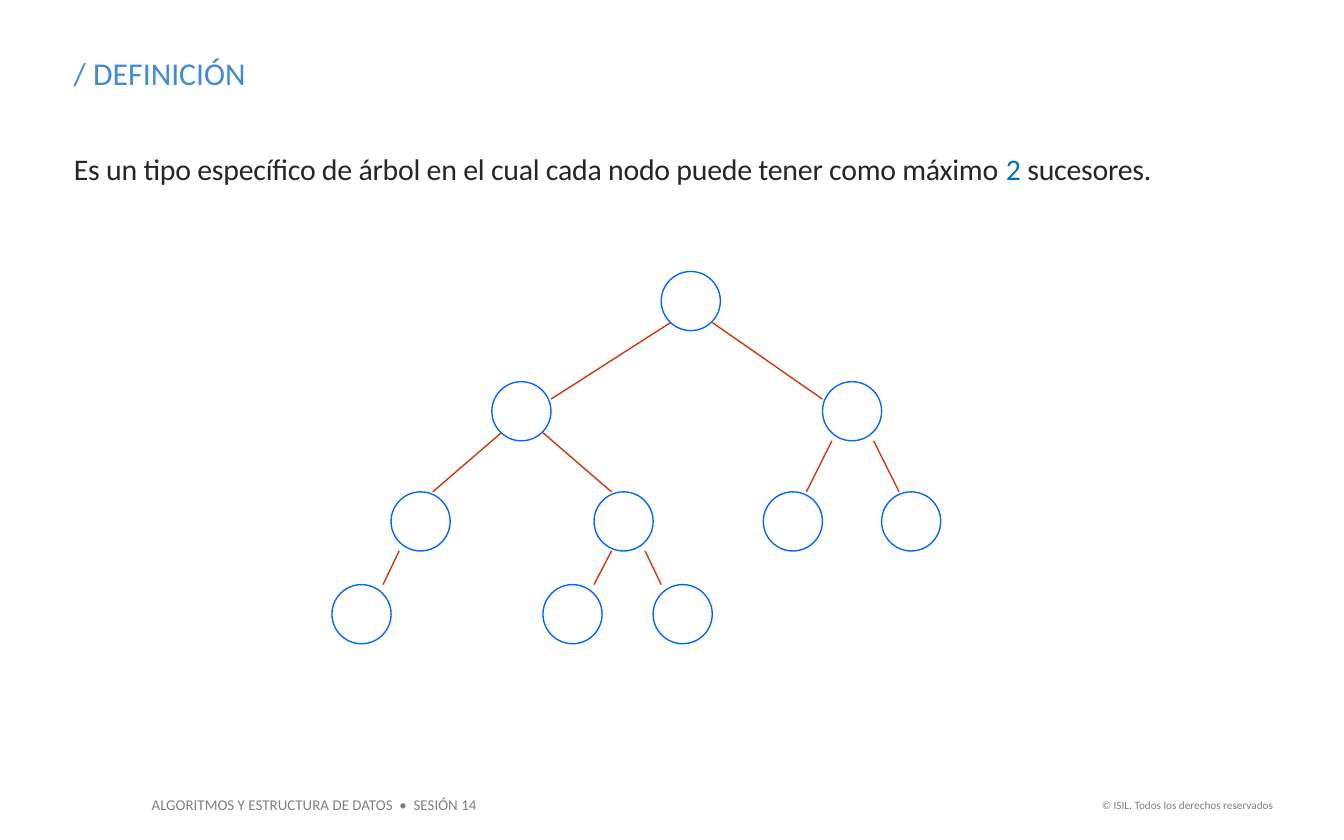
"""Build a slide that defines the binary tree and draws one."""
import pptx
import pptx.dml.color
import pptx.enum.shapes
import pptx.enum.text
import pptx.oxml.ns
import pptx.util
from lxml import etree

Inches = pptx.util.Inches
Pt = pptx.util.Pt
Align = pptx.enum.text.PP_ALIGN

NODE_SIZE = 0.44
LEVELS = {
    2.02: [4.92],
    2.84: [3.66, 6.12],
    3.66: [2.91, 4.42, 5.68, 6.56],
    4.35: [2.47, 4.04, 4.86],
}
BRANCHES = [
    (4.99, 2.4, 4.1, 2.97), (5.3, 2.4, 6.12, 2.97),
    (3.73, 3.22, 3.22, 3.66), (4.04, 3.22, 4.55, 3.66),
    (6.19, 3.28, 6, 3.66), (6.5, 3.28, 6.69, 3.66),
    (2.97, 4.1, 2.85, 4.35),
    (4.55, 4.1, 4.42, 4.35), (4.8, 4.1, 4.92, 4.35),
]


def rgb(hex_code):
    return pptx.dml.color.RGBColor.from_string(hex_code)


class TreeSlide:
    font_name = "Calibri"
    node_color = "0066FF"
    branch_color = "D13409"
    line_width = Pt(0.75)

    def __init__(self, slide):
        self.slide = slide

    def text(self, box, runs, size, align=Align.LEFT, wrap=True,
             inset=(0.1, 0.05), line_spacing=None, tracking=None):
        frame = self.slide.shapes.add_textbox(*map(Inches, box)).text_frame
        frame.word_wrap = wrap
        frame.margin_left = frame.margin_right = Inches(inset[0])
        frame.margin_top = frame.margin_bottom = Inches(inset[1])
        paragraph = frame.paragraphs[0]
        paragraph.alignment = align
        paragraph.line_spacing = line_spacing
        paragraph.font.name = self.font_name
        paragraph.font.size = Pt(size)
        if len(runs) == 1:
            paragraph.font.color.rgb = rgb(runs[0][1])
        for words, color in runs:
            run = paragraph.add_run()
            run.text = words
            if len(runs) > 1:
                run.font.color.rgb = rgb(color)
            if tracking is not None:
                run.font._element.set("spc", str(round(tracking * 100)))

    def node(self, left, top):
        circle = self.slide.shapes.add_shape(
            pptx.enum.shapes.MSO_SHAPE.FLOWCHART_CONNECTOR,
            Inches(left), Inches(top), Inches(NODE_SIZE), Inches(NODE_SIZE))
        circle.shadow.inherit = False
        circle.fill.background()
        circle.line.color.rgb = rgb(self.node_color)
        circle.line.width = self.line_width

    def branch(self, *ends):
        line = self.slide.shapes.add_connector(
            pptx.enum.shapes.MSO_CONNECTOR.STRAIGHT, *map(Inches, ends))
        line.line.color.rgb = rgb(self.branch_color)
        line.line.width = self.line_width
        etree.SubElement(line._element.spPr, pptx.oxml.ns.qn("a:effectLst"))


def main():
    deck = pptx.Presentation()
    deck.slide_width, deck.slide_height = Inches(10), Inches(6.25)
    tree = TreeSlide(deck.slides.add_slide(deck.slide_layouts[6]))

    tree.text((1.03, 5.87, 2.67, 0.24),
              [("ALGORITMOS Y ESTRUCTURA DE DATOS  •  SESIÓN 14", "808080")],
              8, wrap=False)
    tree.text((8.07, 5.89, 1.5, 0.2),
              [("© ISIL. Todos los derechos reservados", "808080")],
              6, align=Align.RIGHT, wrap=False)
    tree.text((0.45, 0.35, 7.88, 0.39), [("/ DEFINICIÓN", "438AD7")], 17)
    tree.text((0.55, 0.99, 8.32, 0.4),
              [("Es un tipo específico de árbol en el cual cada nodo "
                "puede tener como máximo ", "262626"),
               ("2", "0070C0"), (" sucesores.", "262626")],
              16, inset=(0, 0), line_spacing=1.5, tracking=-0.1)

    for top, lefts in LEVELS.items():
        for left in lefts:
            tree.node(left, top)
    for ends in BRANCHES:
        tree.branch(*ends)

    deck.save("out.pptx")


if __name__ == "__main__":
    main()
